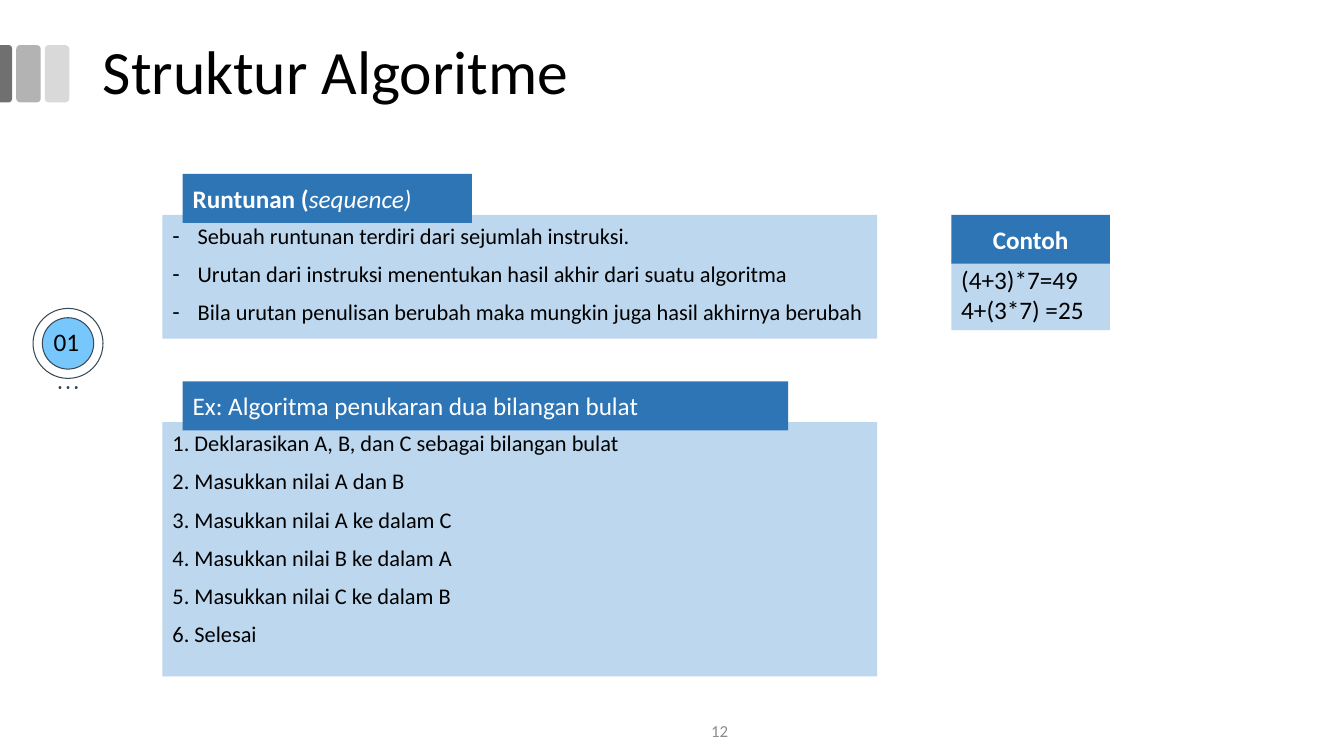
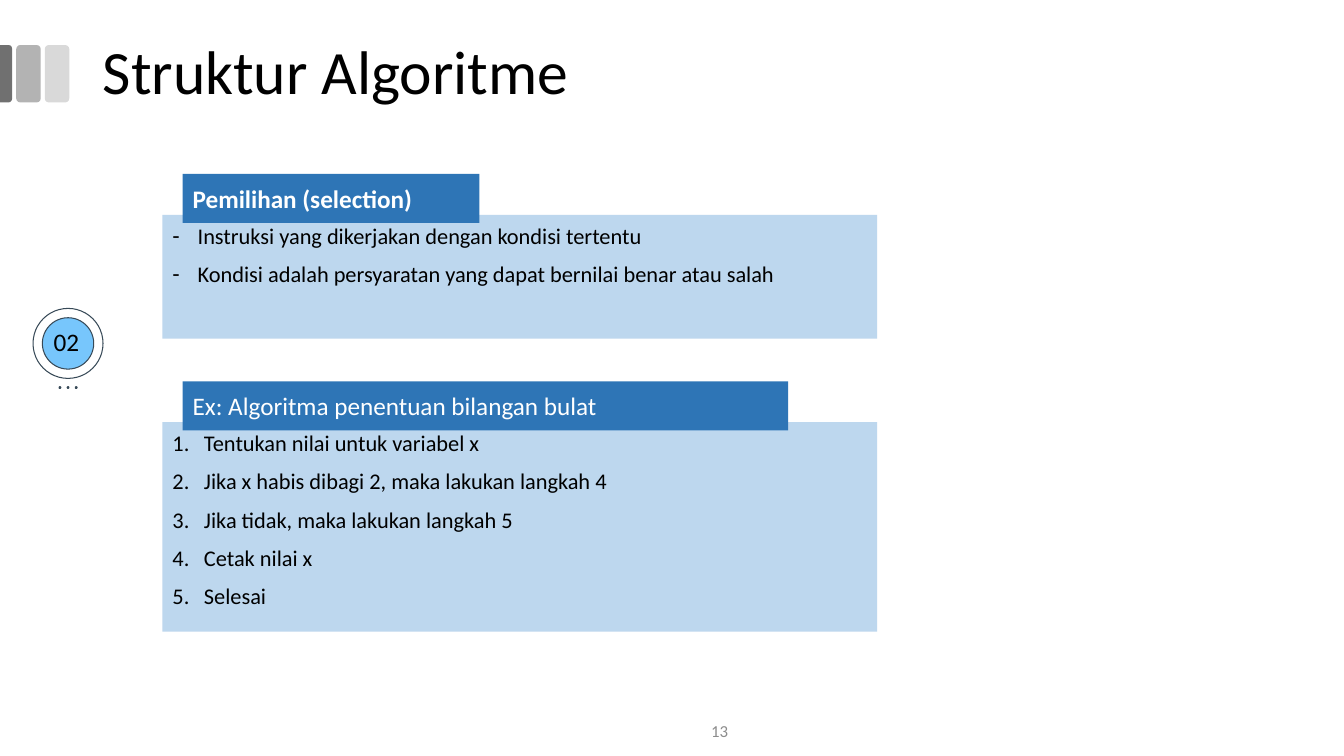
"""Build two slides about algorithm structures: sequence and selection."""
import lxml.etree
import pptx
import pptx.dml.color
import pptx.enum.shapes
import pptx.enum.text
import pptx.oxml.ns
import pptx.util

BLACK = pptx.dml.color.RGBColor(0x00, 0x00, 0x00)
WHITE = pptx.dml.color.RGBColor(0xFF, 0xFF, 0xFF)
BLUE = pptx.dml.color.RGBColor(0x2E, 0x75, 0xB6)
PALE_BLUE = pptx.dml.color.RGBColor(0xBD, 0xD7, 0xEE)
SKY = pptx.dml.color.RGBColor(0x77, 0xC6, 0xFC)
SLATE = pptx.dml.color.RGBColor(0x37, 0x49, 0x57)
NUMBER_GRAY = pptx.dml.color.RGBColor(0x8C, 0x8C, 0x8C)
DARK_GRAY = pptx.dml.color.RGBColor(0x70, 0x70, 0x70)
MID_GRAY = pptx.dml.color.RGBColor(0xB3, 0xB3, 0xB3)
LIGHT_GRAY = pptx.dml.color.RGBColor(0xD9, 0xD9, 0xD9)

FONT = "Calibri"
SHAPE = pptx.enum.shapes.MSO_SHAPE
ALIGN = pptx.enum.text.PP_ALIGN
ANCHOR = pptx.enum.text.MSO_ANCHOR
AUTO_SIZE = pptx.enum.text.MSO_AUTO_SIZE


def place(sp, x, y, w, h):
    sp.left, sp.top, sp.width, sp.height = map(pptx.util.Pt, (x, y, w, h))


def set_bullet(p, tag, indent=0, **attrs):
    pPr = p._p.get_or_add_pPr()
    pPr.set("marL", str(pptx.util.Pt(indent)))
    pPr.set("indent", str(-pptx.util.Pt(indent)))
    lxml.etree.SubElement(pPr, pptx.oxml.ns.qn(tag), **attrs)


def put_text(sp, text, *, size=18, color=BLACK, bold=False, italic_tail="",
             align=ALIGN.LEFT, anchor=ANCHOR.MIDDLE, spacing=None, before=None,
             inset=3.6, bullet=None, auto_size=AUTO_SIZE.NONE):
    tf = sp.text_frame
    tf.word_wrap = True
    tf.auto_size = auto_size
    tf.vertical_anchor = anchor
    tf.margin_left = tf.margin_right = pptx.util.Pt(7.2)
    tf.margin_top = tf.margin_bottom = pptx.util.Pt(inset)
    tf.text = text
    for p in tf.paragraphs:
        p.alignment = align
        p.line_spacing = spacing
        if before is not None:
            p.space_before = pptx.util.Pt(before)
        if bullet:
            set_bullet(p, **bullet)
        if italic_tail:
            p.add_run().text = italic_tail
        for i, r in enumerate(p.runs):
            r.font.name = FONT
            r.font.size = pptx.util.Pt(size)
            r.font.color.rgb = color
            r.font.bold = bold and i == 0
            r.font.italic = i > 0


class Deck:
    """Holds the shared style and the current slide."""

    NONE = dict(tag="a:buNone")
    DASH = dict(tag="a:buChar", indent=18, char="-")
    NUMBER = dict(tag="a:buAutoNum", indent=22.5, type="arabicPeriod")
    PANEL_X, PANEL_W = 116, 510.5
    HEADING_X, HEADING_H = 130.5, 35
    OVERLAP = 5.8

    def __init__(self, first_number):
        self.prs = pptx.Presentation()
        self.prs.slide_width = pptx.util.Pt(960)
        self.prs.slide_height = pptx.util.Pt(540)
        self.prs.element.set("firstSlideNum", str(first_number))
        self.number = first_number

    def new_slide(self, title, step):
        self.s = self.prs.slides.add_slide(self.prs.slide_layouts[3])
        sp = self.s.shapes.title
        place(sp, 66.2, 0.7, 828, 104.4)
        put_text(sp, title, size=44, spacing=0.9)
        self.tabs()
        self.slide_number()
        self.badge(step)

    def shape(self, kind, x, y, w, h, fill, line=None):
        sp = self.s.shapes.add_shape(kind, *map(pptx.util.Pt, (x, y, w, h)))
        sp.shadow.inherit = False
        sp.fill.solid()
        sp.fill.fore_color.rgb = fill
        if line is None:
            sp.line.fill.background()
        else:
            sp.line.color.rgb = line
            sp.line.width = pptx.util.Pt(0.75)
        return sp

    def text_box(self, x, y, w, h, text, **fmt):
        sp = self.s.shapes.add_textbox(*map(pptx.util.Pt, (x, y, w, h)))
        put_text(sp, text, align=ALIGN.CENTER, **fmt)
        return sp

    def tabs(self):
        for x, fill in ((32, LIGHT_GRAY), (11.6, MID_GRAY)):
            self.shape(SHAPE.ROUNDED_RECTANGLE, x, 32.2, 17.5, 41, fill)
        sp = self.shape(SHAPE.ROUND_2_SAME_RECTANGLE, -16.2, 48.4, 41, 8.6, DARK_GRAY)
        sp.rotation = 90
        sp.adjustments[0] = 0.29

    def slide_number(self):
        sp = self.text_box(406, 507.6, 216, 28.8, str(self.number),
                           size=12, color=NUMBER_GRAY)
        p = sp.text_frame.paragraphs[0]._p
        r = p.r_lst[0]
        fld = lxml.etree.SubElement(
            p, pptx.oxml.ns.qn("a:fld"), type="slidenum",
            id="{B6F15528-21DE-4FAA-801E-634DDDAF4B2B}")
        fld.extend(list(r))
        p.remove(r)
        self.number += 1

    def badge(self, step):
        cx, cy = 48.6, 245.3
        for d, fill in ((50, WHITE), (36.7, SKY)):
            self.shape(SHAPE.OVAL, cx - d / 2, cy - d / 2, d, d, fill, SLATE)
        for i in (-1, 0, 1):
            self.shape(SHAPE.OVAL, cx + 5.8 * i - 1, 275.8, 2, 2, SLATE)
        self.text_box(29.5, 231.6, 36, 27.4, step, spacing=0.9, inset=7.2)

    def heading(self, x, y, w, text, **fmt):
        sp = self.shape(SHAPE.RECTANGLE, x, y, w, self.HEADING_H, BLUE)
        put_text(sp, text, color=WHITE, **fmt)

    def panel(self, idx, y, h, lines, heading, heading_w, bullet=NONE, **heading_fmt):
        sp = self.s.placeholders[idx]
        place(sp, self.PANEL_X, y, self.PANEL_W, h)
        sp.fill.solid()
        sp.fill.fore_color.rgb = PALE_BLUE
        put_text(sp, "\n".join(lines), size=16, anchor=ANCHOR.TOP, spacing=0.9,
                 before=10, inset=7.2, bullet=bullet)
        self.heading(self.HEADING_X, y + self.OVERLAP - self.HEADING_H,
                     heading_w, heading, **heading_fmt)

    def definition(self, lines, heading, heading_w, **fmt):
        self.panel(1, 153.4, 88.5, lines, heading, heading_w, self.DASH, bold=True, **fmt)

    def algorithm(self, h, lines, heading, bullet=NONE):
        self.panel(2, 301.6, h, lines, heading, 432.5, bullet)

    def example(self, lines, heading):
        x, y, w = 679.5, 153.4, 113.3
        sp = self.shape(SHAPE.RECTANGLE, x, y + 31.5, w, 51, PALE_BLUE)
        put_text(sp, "\n".join(lines), auto_size=AUTO_SIZE.SHAPE_TO_FIT_TEXT)
        self.heading(x, y, w, heading, bold=True, align=ALIGN.CENTER)


def main():
    deck = Deck(first_number=12)
    title = "Struktur Algoritme"

    deck.new_slide(title, "01")
    deck.definition(
        ["Sebuah runtunan terdiri dari sejumlah instruksi.",
         "Urutan dari instruksi menentukan hasil akhir dari suatu algoritma",
         "Bila urutan penulisan berubah maka mungkin juga hasil akhirnya berubah"],
        "Runtunan (", 206.5, italic_tail="sequence)")
    deck.example(["(4+3)*7=49", "4+(3*7) =25"], "Contoh")
    deck.algorithm(
        181.5,
        ["1. Deklarasikan A, B, dan C sebagai bilangan bulat",
         "2. Masukkan nilai A dan B",
         "3. Masukkan nilai A ke dalam C",
         "4. Masukkan nilai B ke dalam A",
         "5. Masukkan nilai C ke dalam B",
         "6. Selesai"],
        "Ex: Algoritma penukaran dua bilangan bulat")

    deck.new_slide(title, "02")
    deck.definition(
        ["Instruksi yang dikerjakan dengan kondisi tertentu",
         "Kondisi adalah persyaratan yang dapat bernilai benar atau salah"],
        "Pemilihan (selection)", 212)
    deck.algorithm(
        149.5,
        ["Tentukan nilai untuk variabel x",
         "Jika x habis dibagi 2, maka lakukan langkah 4",
         "Jika tidak, maka lakukan langkah 5",
         "Cetak nilai x",
         "Selesai"],
        "Ex: Algoritma penentuan bilangan bulat", deck.NUMBER)

    deck.prs.save("out.pptx")


if __name__ == "__main__":
    main()
